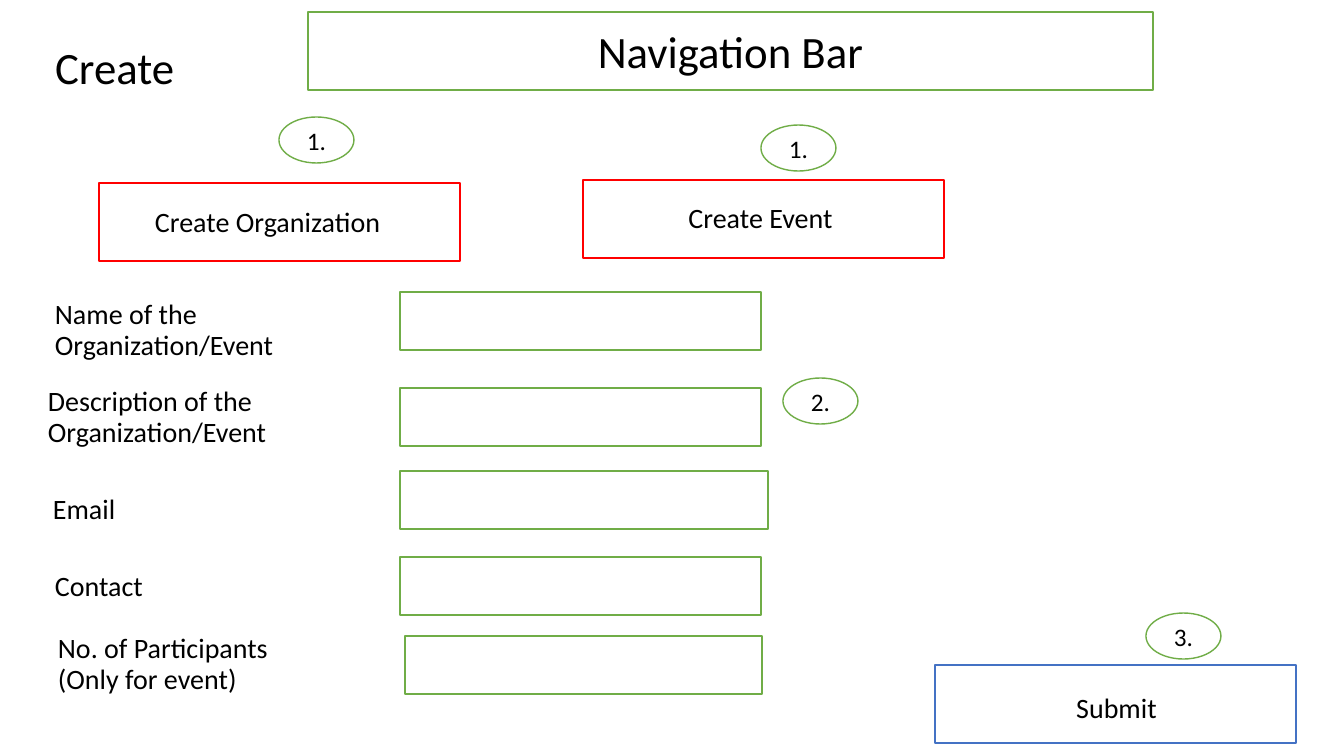
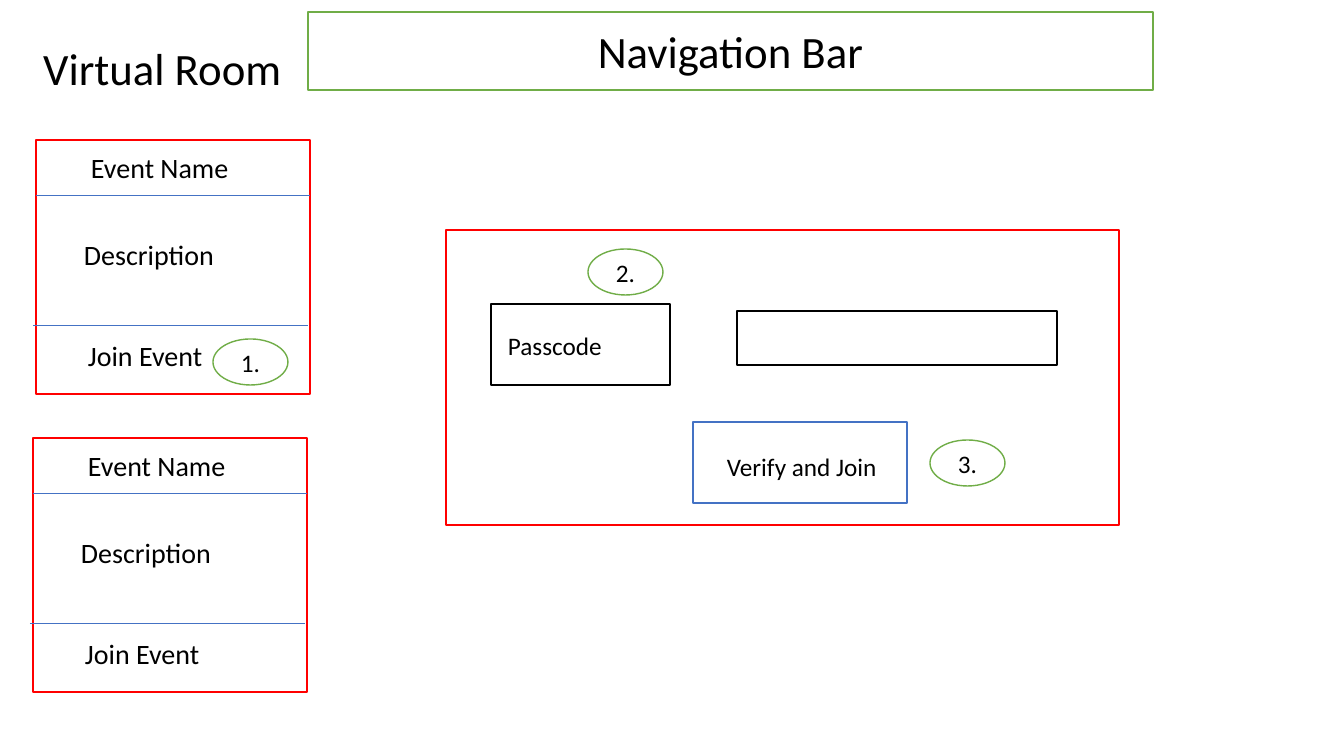
"""Build two wireframe slides: a creation form and a virtual room."""
from lxml.etree import SubElement
from pptx import Presentation
from pptx.dml.color import RGBColor
from pptx.enum.shapes import MSO_CONNECTOR, MSO_SHAPE
from pptx.enum.text import MSO_ANCHOR, MSO_AUTO_SIZE, PP_ALIGN
from pptx.oxml.ns import qn
from pptx.util import Emu, Pt

PIXEL = 914400 / 100.8
COLORS = {
    "text": "000000",
    "paper": "FFFFFF",
    "green": "70AD47",
    "red": "FF0000",
    "blue": "4472C4",
}
FONT = "Calibri"
LABEL_SIZE = (265, 78)
BUTTON_SIZE = (361, 78)
BADGE_SIZE = (75, 46)
FIELD_HEIGHT = 58


def pixels(*lengths):
    return [Emu(round(length * PIXEL)) for length in lengths]


def color(name):
    return RGBColor.from_string(COLORS[name])


def apply(target, **values):
    for name, value in values.items():
        setattr(target, name, value)


class Wireframe:
    """Hold the shared style and draw elements on the current slide."""

    def __init__(self, presentation):
        self.presentation = presentation
        self.slide = None
        self.shapes = None

    def start_slide(self, title, left, top, width):
        layout = self.presentation.slide_layouts.get_by_name("Title Only")
        self.slide = self.presentation.slides.add_slide(layout)
        self.end_group()
        shape = self.shapes.title
        bounds = pixels(left, top, width, 119)
        apply(shape, **dict(zip(("left", "top", "width", "height"), bounds)))
        self.set_text(shape, title, 32, PP_ALIGN.LEFT, 0.9)

    def start_group(self):
        self.shapes = self.slide.shapes.add_group_shape().shapes

    def end_group(self):
        self.shapes = self.slide.shapes

    def set_text(self, shape, text, size, alignment, spacing=1.0, anchor=MSO_ANCHOR.MIDDLE):
        frame = shape.text_frame
        apply(frame, text=text, word_wrap=True, auto_size=MSO_AUTO_SIZE.NONE,
              vertical_anchor=anchor)
        paragraph = frame.paragraphs[0]
        apply(paragraph, alignment=alignment, line_spacing=spacing)
        font = paragraph.runs[0].font
        apply(font, name=FONT, size=Pt(size))
        font.color.rgb = color("text")

    def box(self, left, top, width, height, line, text="", size=18, kind=MSO_SHAPE.RECTANGLE):
        shape = self.shapes.add_shape(kind, *pixels(left, top, width, height))
        shape.shadow.inherit = False
        shape.fill.solid()
        shape.fill.fore_color.rgb = color("paper")
        shape.line.color.rgb = color(line)
        shape.line.width = Pt(1)
        if text:
            self.set_text(shape, text, size, PP_ALIGN.CENTER)

    def label(self, left, top, text, alignment=PP_ALIGN.LEFT):
        shape = self.shapes.add_textbox(*pixels(left, top, *LABEL_SIZE))
        self.set_text(shape, text, 20, alignment, 0.9)

    def caption(self, left, top, text):
        shape = self.shapes.add_textbox(*pixels(left, top, 256, 40))
        self.set_text(shape, text, 18, PP_ALIGN.LEFT, anchor=MSO_ANCHOR.TOP)

    def divider(self, left, right, top):
        connector = self.shapes.add_connector(
            MSO_CONNECTOR.STRAIGHT, *pixels(left, top, right, top))
        connector.line.color.rgb = color("blue")
        connector.line.width = Pt(0.5)
        SubElement(connector._element.spPr, qn("a:effectLst"))

    def badge(self, left, top, number):
        self.box(left, top, *BADGE_SIZE, "green", f"{number}.", kind=MSO_SHAPE.OVAL)

    def navigation_bar(self):
        self.box(308, 12, 845, 78, "green", "Navigation Bar", 32)

    def event_card(self, left, top):
        self.start_group()
        self.box(left, top, 274, 254, "red")
        self.divider(left, left + 274, top + 55)
        self.divider(left - 3, left + 272, top + 185)
        for indent, drop, text in (
            (45, -10, "Event Name"),
            (38, 77, "Description"),
            (42, 178, "Join Event"),
        ):
            self.label(left + indent, top + drop, text)
        self.end_group()


def build_create(wireframe):
    wireframe.start_slide("Create", 45, 10, 250)
    wireframe.navigation_bar()
    for left, top, line, text, text_left, text_top in (
        (99, 183, "red", "Create Organization", 135, 184),
        (583, 180, "red", "Create Event", 628, 180),
        (935, 665, "blue", "Submit", 984, 670),
    ):
        wireframe.box(left, top, *BUTTON_SIZE, line)
        wireframe.label(text_left, text_top, text, PP_ALIGN.CENTER)
    for text, left, top, field_left, field_top, field_width in (
        ("Name of the Organization/Event", 45, 292, 400, 292, 361),
        ("Description of the Organization/Event", 38, 379, 400, 388, 361),
        ("Email", 43, 471, 400, 471, 368),
        ("Contact", 45, 548, 400, 557, 361),
        ("No. of Participants (Only for event)", 48, 626, 405, 636, 357),
    ):
        wireframe.label(left, top, text)
        wireframe.box(field_left, field_top, field_width, FIELD_HEIGHT, "green")
    for left, top, number in ((279, 117, 1), (783, 378, 2), (1146, 613, 3), (761, 125, 1)):
        wireframe.badge(left, top, number)


def build_virtual_room(wireframe):
    wireframe.start_slide("Virtual Room", 33, 12, 265)
    wireframe.event_card(36, 140)
    wireframe.navigation_bar()
    wireframe.event_card(33, 438)
    wireframe.start_group()
    wireframe.box(446, 230, 673, 295, "red")
    wireframe.box(491, 304, 179, 81, "text")
    wireframe.caption(498, 325, "Passcode")
    wireframe.box(693, 422, 214, 81, "blue")
    wireframe.box(737, 311, 320, 54, "text")
    wireframe.end_group()
    wireframe.caption(717, 446, "Verify and Join")
    for left, top, number in ((213, 339, 1), (588, 249, 2), (930, 440, 3)):
        wireframe.badge(left, top, number)


def main():
    presentation = Presentation()
    width, height = pixels(1344, 756)
    apply(presentation, slide_width=width, slide_height=height)
    wireframe = Wireframe(presentation)
    build_create(wireframe)
    build_virtual_room(wireframe)
    presentation.save("out.pptx")


main()
